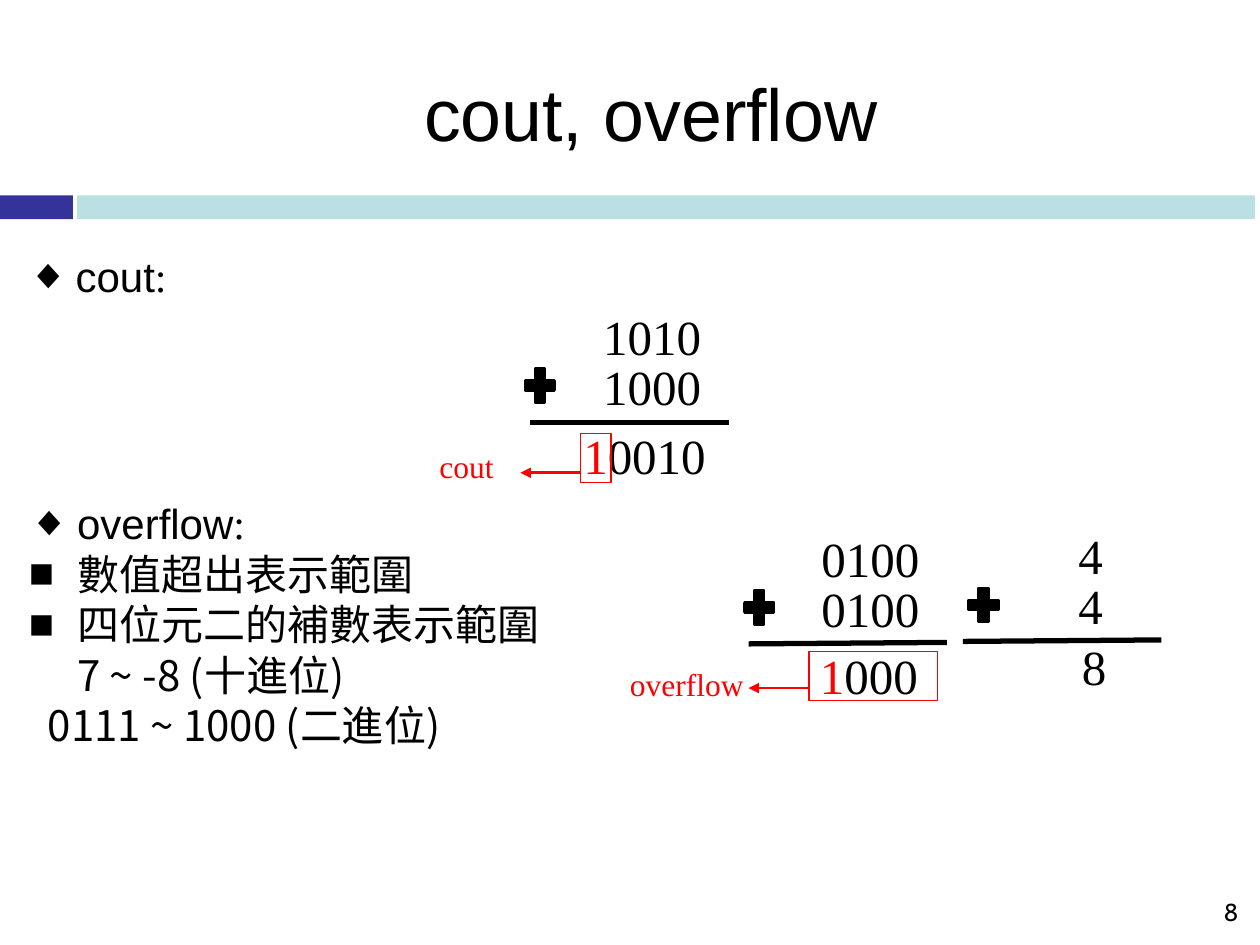
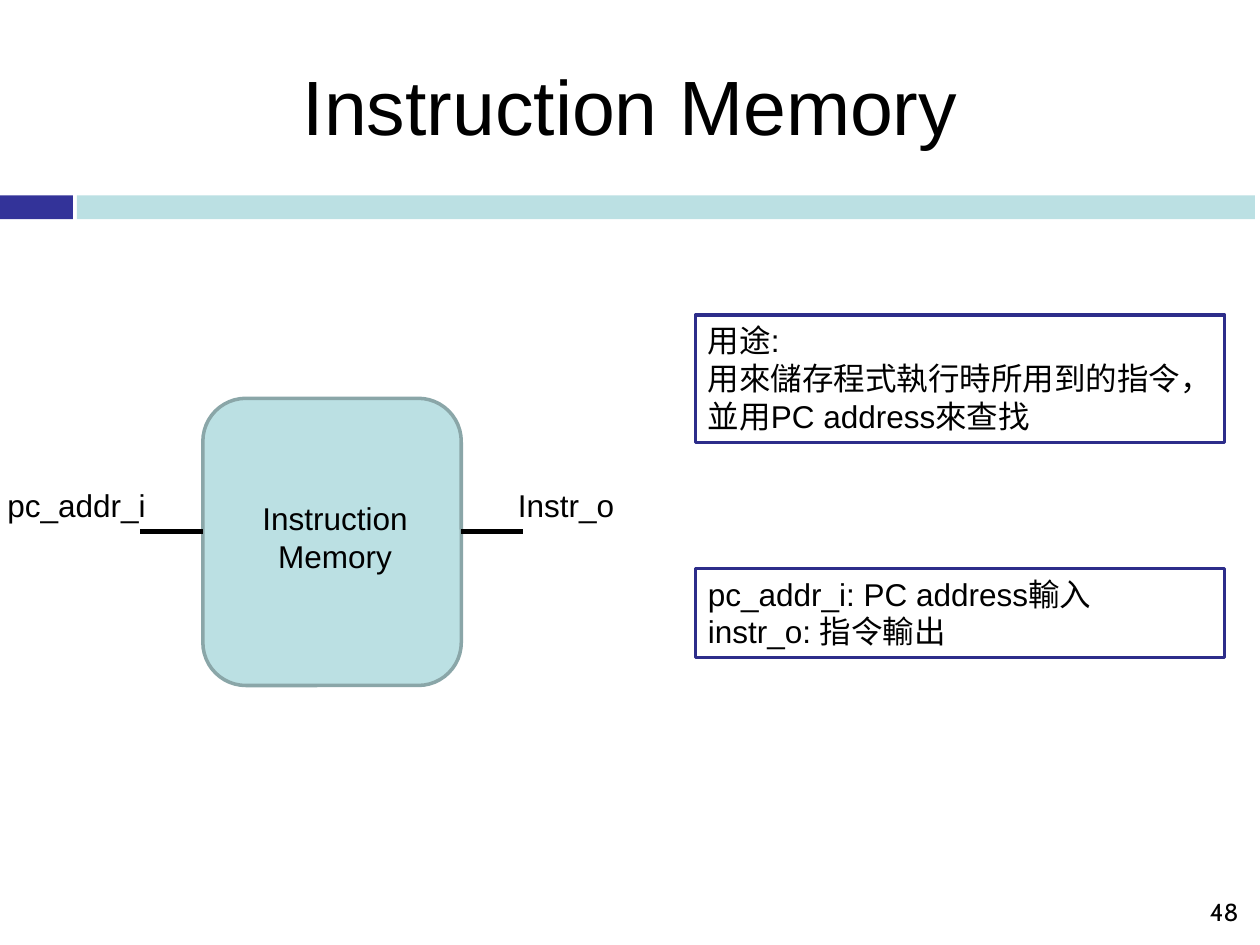
from dataclasses import dataclass
from typing import Optional

from lxml import etree
from pptx import Presentation
from pptx import util as u
from pptx.dml.color import RGBColor
from pptx.enum import shapes, text
from pptx.oxml.ns import qn

Cm, Pt = u.Cm, u.Pt
Kind = shapes.MSO_SHAPE


# Colours, fonts and type sizes
@dataclass(frozen=True)
class Theme:
    ink: str = "000000"
    navy: str = "333399"
    edge: str = "2D2D8A"
    pale: str = "BBE0E3"
    rim: str = "8AA6A8"
    red: str = "FF0000"
    white: str = "FFFFFF"
    sans: str = "Arial"
    serif: str = "Times New Roman"
    han: str = "Noto Sans CJK SC"
    num: str = "Cabin"
    list: int = 24
    digit: int = 28
    label: int = 18
    page: int = 14
    pitch: float = 1.2


T = Theme()


@dataclass(frozen=True)
class Box:
    x: float
    y: float
    w: float
    h: float

    def cm(self) -> tuple:
        return Cm(self.x), Cm(self.y), Cm(self.w), Cm(self.h)


@dataclass(frozen=True)
class Bit:
    text: str
    font: str = T.sans
    tint: str = T.ink


@dataclass(frozen=True)
class Item:
    bits: tuple
    mark: str = ""
    left: float = 0.97


@dataclass(frozen=True)
class Flag:
    word: str
    frame: Box
    tip: float
    line: float
    label: Box


@dataclass(frozen=True)
class Sum:
    x: float
    y: float
    rise: float
    plus: float
    col: float
    rows: tuple
    total: tuple
    spot: Box
    flag: Optional[Flag] = None


@dataclass(frozen=True)
class Port:
    name: str
    label: Box
    start: float
    end: float


# Basic drawing
def style(font, bit: Bit) -> None:
    font.name = bit.font
    font.color.rgb = RGBColor.from_string(bit.tint)


def write(par, bits: tuple, size: int) -> None:
    par.font.size = Pt(size)
    if len(bits) == 1:
        style(par.font, bits[0])
    for bit in bits:
        run = par.add_run()
        run.text = bit.text
        if len(bits) > 1:
            style(run.font, bit)


def label(slide, box: Box, bits: tuple, size: int, align=text.PP_ALIGN.LEFT,
          anchor=text.MSO_ANCHOR.TOP) -> None:
    frame = slide.shapes.add_textbox(*box.cm()).text_frame
    frame.word_wrap = True
    frame.vertical_anchor = anchor
    frame.paragraphs[0].alignment = align
    write(frame.paragraphs[0], bits, size)


def shape(slide, kind, box: Box, fill: str = "", edge: str = "", width: float = 2):
    item = slide.shapes.add_shape(kind, *box.cm())
    item.shadow.inherit = False
    if fill:
        item.fill.solid()
        item.fill.fore_color.rgb = RGBColor.from_string(fill)
    else:
        item.fill.background()
    if edge:
        item.line.color.rgb = RGBColor.from_string(edge)
        item.line.width = Pt(width)
    else:
        item.line.fill.background()
    return item


def line(slide, x1: float, y1: float, x2: float, y2: float, tint: str = T.ink,
         width: float = 3, arrow: bool = False) -> None:
    rule = slide.shapes.add_connector(shapes.MSO_CONNECTOR.STRAIGHT,
                                      Cm(x1), Cm(y1), Cm(x2), Cm(y2))
    rule.line.color.rgb = RGBColor.from_string(tint)
    rule.line.width = Pt(width)
    if arrow:
        etree.SubElement(rule.line._get_or_add_ln(), qn("a:tailEnd"), type="triangle")
    etree.SubElement(rule._element.spPr, qn("a:effectLst"))


# Shared slide frame
def start(deck, layout: int, title: str, box: Box, size: int, page: str):
    slide = deck.slides.add_slide(deck.slide_layouts[layout])
    shape(slide, Kind.RECTANGLE, Box(0, 3.94, 1.47, 0.48), T.navy)
    shape(slide, Kind.RECTANGLE, Box(1.55, 3.94, 23.75, 0.48), T.pale)
    label(slide, Box(19.3, 17.93, 5.92, 0.91), (Bit(page, T.num),), T.page,
          text.PP_ALIGN.RIGHT, text.MSO_ANCHOR.MIDDLE)
    head = slide.shapes.title
    head.left, head.top, head.width, head.height = box.cm()
    frame = head.text_frame
    frame.auto_size = text.MSO_AUTO_SIZE.NONE
    frame.vertical_anchor = text.MSO_ANCHOR.TOP
    frame.paragraphs[0].alignment = text.PP_ALIGN.CENTER
    write(frame.paragraphs[0], (Bit(title),), size)
    return slide


# Bulleted list in a body placeholder
def fill(body, box: Box, items: tuple) -> None:
    body.left, body.top, body.width, body.height = box.cm()
    frame = body.text_frame
    frame.auto_size = text.MSO_AUTO_SIZE.NONE
    frame.vertical_anchor = text.MSO_ANCHOR.TOP
    for i, item in enumerate(items):
        par = frame.add_paragraph() if i else frame.paragraphs[0]
        par.space_before = Pt(0)
        par.line_spacing = Pt(T.list * T.pitch)
        props = par._p.get_or_add_pPr()
        props.set("marL", str(Cm(item.left)))
        props.set("indent", str(-Cm(item.left) if item.mark else 0))
        if item.mark:
            etree.SubElement(props, qn("a:buChar"), char=item.mark)
        else:
            etree.SubElement(props, qn("a:buNone"))
        write(par, item.bits, T.list)


# Column addition with an optional red flag
def add(slide, s: Sum) -> None:
    for i, row in enumerate(s.rows):
        label(slide, Box(s.col, s.y - 2.46 + 1.01 * i, 3.2, 1.45),
              (Bit(row, T.serif),), T.digit)
    line(slide, s.x, s.y, s.x + 4, s.y - s.rise)
    shape(slide, Kind.MATH_PLUS, Box(s.plus, s.y - 1.19, 0.79, 0.91), T.ink, T.ink)
    label(slide, s.spot, s.total, T.digit)
    if s.flag:
        f = s.flag
        shape(slide, Kind.RECTANGLE, f.frame, edge=T.red, width=0.75)
        line(slide, f.frame.x, f.line, f.tip, f.line, T.red, 1.5, True)
        label(slide, f.label, (Bit(f.word, T.serif, T.red),), T.label)


def note(slide, box: Box, rows: tuple) -> None:
    frame = shape(slide, Kind.RECTANGLE, box, T.white, T.edge).text_frame
    frame.word_wrap = True
    frame.vertical_anchor = text.MSO_ANCHOR.TOP
    for i, row in enumerate(rows):
        par = frame.add_paragraph() if i else frame.paragraphs[0]
        par.alignment = text.PP_ALIGN.LEFT
        par.line_spacing = Pt(T.label * T.pitch)
        write(par, (Bit(row),), T.label)


COLON = Bit(":", T.serif)
CARRY = (Item((Bit("cout"), COLON), "◆"),)
RANGE = (
    Item((Bit("overflow"), COLON), "◆"),
    Item((Bit("數值超出表示範圍", T.han),), "■"),
    Item((Bit("四位元二的補數表示範圍 7 ~ -8 (十進位)", T.han),), "■"),
    Item((Bit("0111 ~ 1000 (二進位)", T.han),), left=0.38),
)
ONE = Bit("1", T.serif, T.red)
SUMS = (
    Sum(10.69, 8.51, 0, 10.49, 11.91, ("1010", "1000"),
        (ONE, Bit("0010", T.serif)), Box(11.51, 8.46, 3.4, 1.45),
        Flag("cout", Box(11.71, 8.74, 0.61, 0.99), 10.49, 9.53,
             Box(8.61, 8.89, 1.8, 1.02))),
    Sum(15.09, 12.98, 0.03, 14.91, 16.31, ("0100", "0100"),
        (ONE, Bit("000", T.serif)), Box(16.28, 12.88, 2.8, 1.45),
        Flag("overflow", Box(16.31, 13.13, 2.59, 0.99), 15.09, 13.87,
             Box(12.45, 13.28, 3.3, 1.02))),
    Sum(19.41, 12.93, 0.03, 19.43, 21.49, ("4", "4"),
        (Bit("8", T.serif),), Box(21.56, 12.7, 1.5, 1.45)),
)
PORTS = (
    Port("pc_addr_i", Box(-0.1, 9.68, 3.48, 1.02), 2.82, 4.09),
    Port("Instr_o", Box(10.19, 9.68, 3.84, 1.02), 9.3, 10.54),
)


def carry(deck) -> None:
    slide = start(deck, 3, "cout, overflow", Box(3.1, 1.24, 20.04, 3.18), 42, "8")
    left, right = list(slide.placeholders)[1:3]
    fill(left, Box(0.3, 4.93, 3.81, 1.27), CARRY)
    fill(right, Box(0.33, 9.91, 11.18, 6.4), RANGE)
    for item in SUMS:
        add(slide, item)


def memory(deck) -> None:
    slide = start(deck, 5, "Instruction Memory", Box(2.69, 1.05, 20.04, 3.18), 44, "48")
    shape(slide, Kind.ROUNDED_RECTANGLE, Box(4.09, 8.03, 5.21, 5.79), T.pale, T.rim)
    label(slide, Box(4.9, 9.93, 3.71, 1.8), (Bit("Instruction Memory"),), T.label,
          text.PP_ALIGN.CENTER)
    for port in PORTS:
        line(slide, port.start, 10.72, port.end, 10.72)
        label(slide, port.label, (Bit(port.name),), T.label)
    note(slide, Box(14.02, 6.35, 10.67, 2.57),
         ("用途:", "用來儲存程式執行時所用到的指令，並用PC address來查找"))
    note(slide, Box(14.02, 11.46, 10.67, 1.8),
         ("pc_addr_i: PC address輸入", "instr_o: 指令輸出"))


def main() -> None:
    deck = Presentation()
    deck.slide_width, deck.slide_height = Cm(25.4), Cm(19.05)
    carry(deck)
    memory(deck)
    deck.save("out.pptx")


if __name__ == "__main__":
    main()
